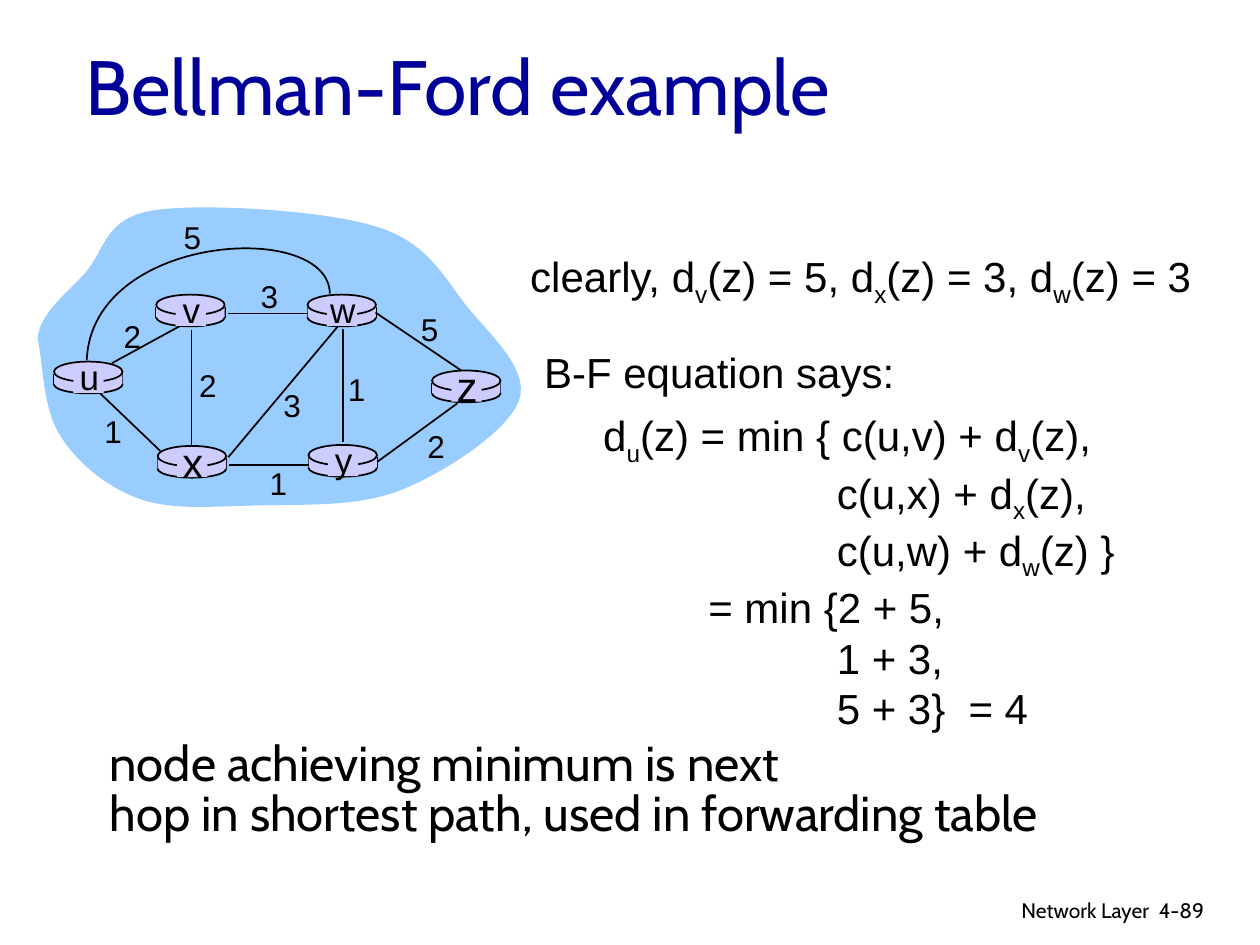
from pptx import Presentation
from pptx.dml.color import RGBColor
from pptx.enum.shapes import MSO_CONNECTOR as Connector, MSO_SHAPE as Preset
from pptx.enum.text import MSO_ANCHOR as Anchor, MSO_AUTO_SIZE as AutoSize, PP_ALIGN as Align
from pptx.oxml.ns import qn
from pptx.util import Cm, Pt
from lxml.etree import SubElement

COLORS = {"ink": "000000", "title": "000099", "cloud": "99CCFF", "router": "CCCCFF"}
MARGINS = {"margin_left": Cm(0.25), "margin_right": Cm(0.25),
           "margin_top": Cm(0.13), "margin_bottom": Cm(0.13)}

CLOUD_START = (0.76, 6.83)
CLOUD_CURVES = [
    (0.79, 6.32), (1.35, 5.92), (1.73, 5.49),
    (2.11, 5.05), (2.11, 4.39), (3.1, 4.24),
    (4.09, 4.09), (6.55, 4.24), (7.59, 4.57),
    (8.66, 4.9), (8.97, 5.64), (9.45, 6.22),
    (9.91, 6.78), (10.69, 7.47), (10.46, 8.08),
    (10.24, 8.69), (8.97, 9.53), (8.08, 9.88),
    (7.19, 10.24), (6.02, 10.16), (5.16, 10.19),
    (4.27, 10.21), (3.48, 10.29), (2.82, 10.06),
    (2.16, 9.83), (1.55, 9.32), (1.22, 8.79),
    (0.86, 8.26), (0.86, 7.24), (0.76, 6.83),
]
ROUTERS = [("u", 1.09, 7.29, 20), ("x", 3.18, 8.99, 24), ("v", 3.15, 5.94, 20),
           ("w", 6.2, 5.94, 20), ("y", 6.22, 8.97, 20), ("z", 8.71, 7.47, 24)]
EDGE_U_V = (2.26, 7.32, 3.76, 6.5)
EDGES = [
    (6.91, 6.63, 6.91, 8.92), (3.86, 6.65, 3.86, 9.02), (4.6, 9.22, 6.81, 6.58),
    (7.62, 9.3, 9.22, 8.13), (6.22, 9.37, 4.62, 9.37), (3.23, 9.09, 2.01, 7.92),
    (6.2, 6.32, 4.6, 6.32), (9.3, 7.47, 7.57, 6.3),
]
COSTS = [("2", 2.24, 6.27), ("2", 3.76, 7.24), ("1", 1.85, 8.18), ("3", 5.46, 7.65),
         ("1", 5.18, 9.22), ("1", 6.76, 7.32), ("2", 8.36, 8.48), ("5", 8.23, 6.12),
         ("3", 5.0, 5.46), ("5", 3.45, 4.27)]
EQUATION = [("d_u_(z) = min { c(u,v) + d_v_(z),", 0), ("c(u,x) + d_x_(z),", 4.71),
            ("c(u,w) + d_w_(z) }", 4.71), ("= min {2 + 5,", 2.12),
            ("1 + 3,", 4.71), ("5 + 3}  = 4", 4.71)]


def assign(target, values):
    for name, value in values.items():
        setattr(target, name, value)


class SlideBuilder:
    def __init__(self, slide):
        self.slide = slide
        self.shapes = slide.shapes

    def color(self, name):
        return RGBColor.from_string(COLORS[name])

    def paint(self, shape, fill=None, line=None):
        shape.shadow.inherit = False
        if fill:
            shape.fill.solid()
            shape.fill.fore_color.rgb = self.color(fill)
        else:
            shape.fill.background()
        if line:
            shape.line.color.rgb = self.color(line)
            shape.line.width = Pt(1)
        else:
            shape.line.fill.background()

    def fill_text(self, frame, lines, size, font="Arial", color="ink", align=Align.LEFT,
                  spacing=None, wrap=False, anchor=Anchor.TOP):
        assign(frame, {**MARGINS, "word_wrap": wrap, "auto_size": AutoSize.NONE,
                       "vertical_anchor": anchor})
        for index, (text, indent) in enumerate(lines):
            paragraph = frame.paragraphs[0] if index == 0 else frame.add_paragraph()
            assign(paragraph, {"alignment": align, "line_spacing": spacing})
            if indent:
                paragraph._p.get_or_add_pPr().set("marL", str(Cm(indent)))
            for position, part in enumerate(text.split("_")):
                run = paragraph.add_run()
                run.text = part
                assign(run.font, {"name": font, "size": Pt(size)})
                run.font.color.rgb = self.color(color)
                if position % 2:
                    run._r.get_or_add_rPr().set("baseline", "-25000")

    def title(self, text, left, top, width, height):
        shape = self.shapes.title
        assign(shape, {"left": Cm(left), "top": Cm(top),
                       "width": Cm(width), "height": Cm(height)})
        self.fill_text(shape.text_frame, [(text, 0)], 44, "Cabin", "title",
                       wrap=True, anchor=Anchor.MIDDLE)

    def text(self, lines, left, top, width, height, size, **style):
        shape = self.shapes.add_textbox(Cm(left), Cm(top), Cm(width), Cm(height))
        self.fill_text(shape.text_frame, lines, size, **style)

    def preset(self, kind, left, top, width, height, fill, line=None):
        shape = self.shapes.add_shape(kind, Cm(left), Cm(top), Cm(width), Cm(height))
        self.paint(shape, fill, line)

    def line(self, *ends):
        connector = self.shapes.add_connector(Connector.STRAIGHT, *map(Cm, ends))
        connector.line.color.rgb = self.color("ink")
        connector.line.width = Pt(1)
        SubElement(connector._element.spPr, qn("a:effectLst"))

    def curve(self, start, points, close=False, **style):
        builder = self.shapes.build_freeform(Cm(start[0]), Cm(start[1]))
        builder.add_line_segments([(Cm(x), Cm(y)) for x, y in points], close=close)
        shape = builder.convert_to_shape()
        segments = list(shape._element.iter(qn("a:lnTo")))
        for first, second, third in zip(segments[::3], segments[1::3], segments[2::3]):
            bezier = first.makeelement(qn("a:cubicBezTo"))
            first.addprevious(bezier)
            for segment in (first, second, third):
                bezier.append(segment[0])
                segment.getparent().remove(segment)
        self.paint(shape, **style)

    def router(self, left, top):
        width = 1.38
        self.preset(Preset.OVAL, left, top + 0.28, width, 0.36, "router", "ink")
        for side in (left, left + width):
            self.line(side, top + 0.25, side, top + 0.47)
        self.preset(Preset.RECTANGLE, left, top + 0.25, width, 0.21, "router")
        self.preset(Preset.OVAL, left, top, width, 0.41, "router", "ink")

    def router_name(self, name, left, top, size):
        self.preset(Preset.RECTANGLE, left + 0.39, top + 0.05, 0.61, 0.58, "router")
        height = 1.12 if size == 20 else 1.27
        self.text([(name, 0)], left + 0.26, top + 0.31 - height / 2, 0.9, height,
                  size, align=Align.CENTER)


def main():
    presentation = Presentation()
    assign(presentation, {"slide_width": Cm(25.4), "slide_height": Cm(19.05)})
    builder = SlideBuilder(presentation.slides.add_slide(presentation.slide_layouts[5]))

    builder.text([("Network Layer", 0)], 15.37, 17.96, 8.05, 0.79, 12,
                 font="Cabin", align=Align.RIGHT, wrap=True)
    builder.text([("4-89", 0)], 23.11, 17.96, 1.88, 0.76, 12, font="Cabin", wrap=True)
    builder.title("Bellman-Ford example", 1.47, 0.48, 21.59, 2.44)

    builder.curve(CLOUD_START, CLOUD_CURVES, close=True, fill="cloud")
    builder.line(*EDGE_U_V)
    for name, left, top, size in ROUTERS:
        builder.router(left, top)
    for edge in EDGES:
        builder.line(*edge)
    builder.curve((6.65, 5.92), [(6.63, 4.42), (1.85, 4.7), (1.75, 7.26)], line="ink")
    for router in ROUTERS:
        builder.router_name(*router)
    for cost, left, top in COSTS:
        builder.text([(cost, 0)], left, top, 0.86, 1.02, 18, align=Align.CENTER)

    builder.text([("clearly, d_v_(z) = 5, d_x_(z) = 3, d_w_(z) = 3", 0)],
                 10.44, 4.93, 13.89, 1.42, 24)
    builder.text(EQUATION, 11.91, 8.13, 10.8, 6.78, 24)
    builder.text([("node achieving minimum is next", 0),
                  ("hop in shortest path, used in forwarding table", 0)],
                 1.96, 14.81, 21.79, 2.29, 28, font="Cabin", spacing=0.85, wrap=True)
    builder.text([("B-F equation says:", 0)], 10.72, 6.86, 7.57, 1.27, 24)

    presentation.save("out.pptx")


if __name__ == "__main__":
    main()
